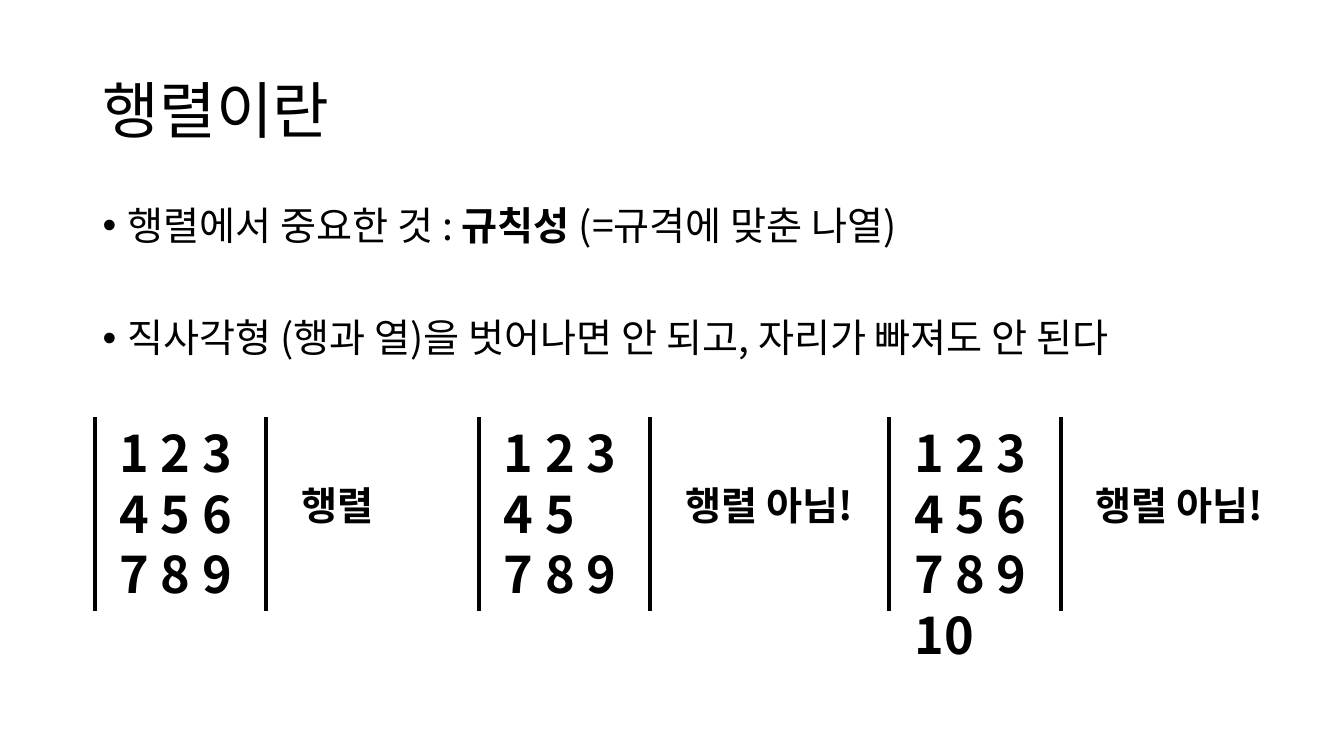
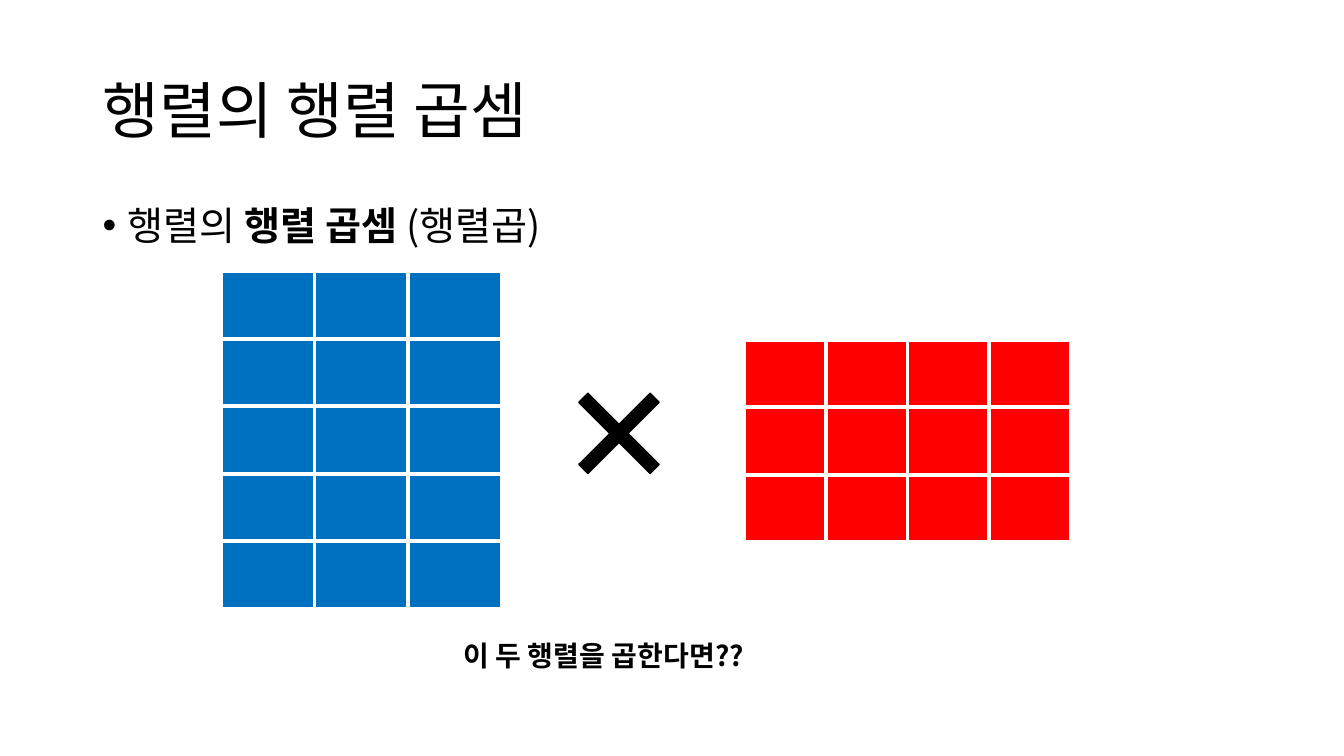
from lxml import etree
from pptx import Presentation
from pptx import util as u
from pptx.dml.color import RGBColor
from pptx.enum import shapes, text
from pptx.oxml.ns import qn

PX = 9144
FONT = "Noto Sans CJK KR"
BLACK = RGBColor(0x00, 0x00, 0x00)
WHITE = RGBColor(0xFF, 0xFF, 0xFF)
BLUE = RGBColor(0x00, 0x70, 0xC0)
RED = RGBColor(0xFF, 0x00, 0x00)
TITLE_ONLY = 5

BRACKET_TOP, BRACKET_BOTTOM = 414, 606
MATRICES = [
    (94, ["1 2 3", "4 5 6", "7 8 9"], "행렬"),
    (475, ["1 2 3", "4 5", "7 8 9"], "행렬 아님!"),
    (882, ["1 2 3", "4 5 6", "7 8 9", "10"], "행렬 아님!"),
]


def px(*lengths):
    return [u.Emu(length * PX) for length in lengths]


def style_paragraph(paragraph, size, bold=False):
    font = paragraph.font
    font.name, font.size, font.bold = FONT, u.Pt(size), bold
    font.color.rgb = BLACK
    defaults = paragraph._p.pPr.find(qn("a:defRPr"))
    etree.SubElement(defaults, qn("a:ea")).set("typeface", FONT)


def add_title(slide, title):
    shape = slide.shapes.title
    shape.left, shape.top, shape.width, shape.height = px(92, 40, 1150, 145)
    frame = shape.text_frame
    frame.text = title
    frame.auto_size = text.MSO_AUTO_SIZE.NONE
    frame.vertical_anchor = text.MSO_ANCHOR.MIDDLE
    paragraph = frame.paragraphs[0]
    paragraph.alignment = text.PP_ALIGN.LEFT
    paragraph.line_spacing = 0.9
    style_paragraph(paragraph, 44)


def add_frame(slide, left, top, width, height):
    frame = slide.shapes.add_textbox(*px(left, top, width, height)).text_frame
    frame.word_wrap = True
    return frame


def add_lines(slide, bounds, lines, size):
    frame = add_frame(slide, *bounds)
    frame.text = "\n".join(lines)
    for paragraph in frame.paragraphs:
        style_paragraph(paragraph, size, bold=True)


def add_bullets(slide, bullets):
    frame = add_frame(slide, 92, 200, 1150, 476)
    for index, runs in enumerate(bullets):
        paragraph = frame.add_paragraph() if index else frame.paragraphs[0]
        paragraph.line_spacing = 0.9
        paragraph.space_before = u.Pt(50 if index else 10)
        style_paragraph(paragraph, 28)
        properties = paragraph._p.pPr
        indent = px(25)[0]
        properties.set("marL", str(indent))
        properties.set("indent", str(-indent))
        defaults = properties.find(qn("a:defRPr"))
        for tag, name, value in (("a:buFont", "typeface", "Arial"), ("a:buChar", "char", "•")):
            bullet = etree.Element(qn(tag))
            bullet.set(name, value)
            defaults.addprevious(bullet)
        for words, bold in runs:
            run = paragraph.add_run()
            run.text = words
            if bold:
                run.font.bold = True


def add_bar(slide, x):
    bar = slide.shapes.add_connector(
        shapes.MSO_CONNECTOR.STRAIGHT, *px(x, BRACKET_TOP, x, BRACKET_BOTTOM))
    bar.line.color.rgb = BLACK
    bar.line.width = u.Pt(3)
    etree.SubElement(bar._element.spPr, qn("a:effectLst"))


def add_matrix(slide, left, rows, verdict):
    add_bar(slide, left)
    add_lines(slide, (left + 15, BRACKET_TOP, 150, 12 + 60 * len(rows)), rows, 36)
    add_bar(slide, left + 170)
    add_lines(slide, (left + 195, 473, 193, 57), [verdict], 28)


def add_borders(cell, color, width):
    properties = cell._tc.get_or_add_tcPr()
    for side in ("a:lnL", "a:lnR", "a:lnT", "a:lnB"):
        line = etree.SubElement(properties, qn(side), w=str(u.Pt(width)))
        fill = etree.SubElement(line, qn("a:solidFill"))
        etree.SubElement(fill, qn("a:srgbClr"), val=str(color))


def add_grid(slide, left, top, rows, columns, cell_width, color):
    cell_height = 67
    table = slide.shapes.add_table(
        rows, columns,
        *px(left, top, columns * cell_width, rows * cell_height)).table
    table.first_row = table.horz_banding = False
    for cell in table.iter_cells():
        add_borders(cell, WHITE, 3)
        cell.fill.solid()
        cell.fill.fore_color.rgb = color


def add_times_sign(slide, left, top, size):
    sign = slide.shapes.add_shape(
        shapes.MSO_SHAPE.MATH_MULTIPLY, *px(left, top, size, size))
    sign.adjustments[0] = 0.094
    sign.shadow.inherit = False
    sign.fill.solid()
    sign.fill.fore_color.rgb = BLACK
    sign.line.color.rgb = BLACK
    sign.line.width = u.Pt(1)


def add_slide(presentation, title, bullets):
    slide = presentation.slides.add_slide(presentation.slide_layouts[TITLE_ONLY])
    add_title(slide, title)
    add_bullets(slide, bullets)
    return slide


def main():
    presentation = Presentation()
    presentation.slide_width, presentation.slide_height = px(1333, 750)

    slide = add_slide(presentation, "행렬이란", [
        [("행렬에서 중요한 것 : ", False), ("규칙성 ", True), ("(=규격에 맞춘 나열)", False)],
        [("직사각형 (행과 열)을 벗어나면 안 되고, 자리가 빠져도 안 된다", False)],
    ])
    for left, rows, verdict in MATRICES:
        add_matrix(slide, left, rows, verdict)

    slide = add_slide(presentation, "행렬의 행렬 곱셈", [
        [("행렬의 ", False), ("행렬 곱셈", True), (" (행렬곱)", False)],
    ])
    add_grid(slide, 219, 269, 5, 3, 93, BLUE)
    add_grid(slide, 738, 337, 3, 4, 81, RED)
    add_times_sign(slide, 546, 362, 136)
    add_lines(slide, (450, 629, 328, 44), ["이 두 행렬을 곱한다면??"], 20)

    presentation.save("out.pptx")


if __name__ == "__main__":
    main()
